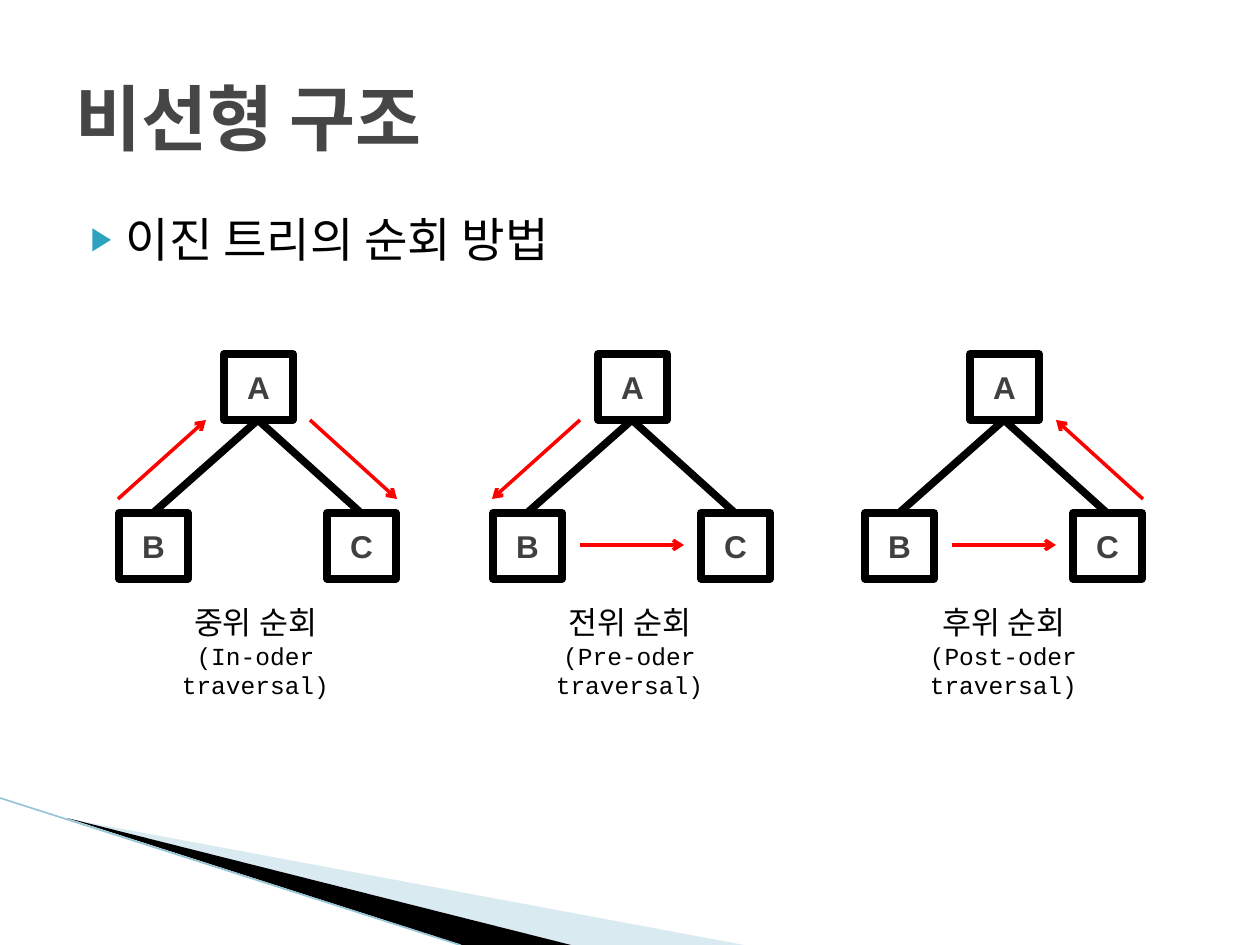
from dataclasses import dataclass

import pptx
import pptx.dml.color
import pptx.enum.shapes
import pptx.enum.text
import pptx.oxml
import pptx.oxml.ns
import pptx.util

PIXELS_PER_INCH = 126
NAMESPACE = pptx.oxml.ns.nsdecls("a")
ALIGN = pptx.enum.text.PP_ALIGN
ANCHOR = pptx.enum.text.MSO_ANCHOR
AUTO_SIZE = pptx.enum.text.MSO_AUTO_SIZE


@dataclass(frozen=True)
class Theme:
    text_font: str = "Courier New"
    node_font: str = "Arial"
    title_size: int = 41
    body_size: int = 27
    label_size: int = 18
    note_size: int = 14
    title: str = "464646"
    ink: str = "000000"
    node_text: str = "404040"
    paper: str = "FFFFFF"
    bullet: str = "2DA2BF"
    arrow: str = "FF0000"
    swoosh: str = "A0CBDC"
    edge: str = "97C5D8"
    tree_line: float = 4.33
    arrow_line: float = 2
    edge_line: float = 0.95


def px(count):
    return pptx.util.Emu(round(count * pptx.util.Inches(1) / PIXELS_PER_INCH))


def rgb(color):
    return pptx.dml.color.RGBColor.from_string(color)


def append_element(parent, tag, **attributes):
    """Append a new drawing element to parent and return it."""
    child = pptx.oxml.parse_xml(f"<a:{tag} {NAMESPACE}/>")
    for name, value in attributes.items():
        child.set(name, str(value))
    parent.append(child)
    return child


class SlideBuilder:
    def __init__(self, slide, theme):
        self.slide = slide
        self.theme = theme
        self.shapes = slide.shapes

    def start_group(self):
        self.shapes = self.slide.shapes.add_group_shape().shapes

    def place(self, shape, left, top, width, height):
        shape.left, shape.top = px(left), px(top)
        shape.width, shape.height = px(width), px(height)

    def run(self, paragraph, text, size, color, font=None, bold=False):
        run = paragraph.add_run()
        run.text = text
        run.font.name = font or self.theme.text_font
        run.font.size = pptx.util.Pt(size)
        run.font.bold = bold
        run.font.color.rgb = rgb(color)

    def title(self, text, *box):
        shape = self.slide.shapes.title
        self.place(shape, *box)
        shape.text_frame.auto_size = AUTO_SIZE.NONE
        shape.text_frame.vertical_anchor = ANCHOR.MIDDLE
        paragraph = shape.text_frame.paragraphs[0]
        paragraph.alignment = ALIGN.LEFT
        self.run(paragraph, text, self.theme.title_size, self.theme.title, bold=True)

    def bullet(self, text, *box):
        shape = self.slide.placeholders[1]
        self.place(shape, *box)
        shape.text_frame.auto_size = AUTO_SIZE.NONE
        paragraph = shape.text_frame.paragraphs[0]
        paragraph.space_before = pptx.util.Pt(0)
        properties = paragraph._p.get_or_add_pPr()
        properties.set("marL", str(px(50)))
        properties.set("indent", str(px(-35)))
        bullet_color = append_element(properties, "buClr")
        append_element(bullet_color, "srgbClr", val=self.theme.bullet)
        append_element(properties, "buSzPct", val=68000)
        append_element(properties, "buChar", char="▶")
        self.run(paragraph, text, self.theme.body_size, self.theme.ink)

    def polygon(self, points, color, opacity=100):
        start, *others = [(px(x), px(y)) for x, y in points]
        builder = self.shapes.build_freeform(*start)
        builder.add_line_segments(others, close=True)
        shape = builder.convert_to_shape()
        shape.shadow.inherit = False
        shape.line.fill.background()
        shape.fill.solid()
        shape.fill.fore_color.rgb = rgb(color)
        if opacity < 100:
            fill_color = shape._element.spPr.find(".//" + pptx.oxml.ns.qn("a:srgbClr"))
            append_element(fill_color, "alpha", val=opacity * 1000)

    def line(self, start, end, color, width, arrow=False):
        connector = self.shapes.add_connector(
            pptx.enum.shapes.MSO_CONNECTOR.STRAIGHT,
            *(px(value) for value in (*start, *end)),
        )
        connector.line.color.rgb = rgb(color)
        connector.line.width = pptx.util.Pt(width)
        if arrow:
            append_element(connector.line._get_or_add_ln(), "tailEnd", type="arrow")
        append_element(connector._element.spPr, "effectLst")

    def node(self, letter, *box):
        shape = self.shapes.add_shape(
            pptx.enum.shapes.MSO_SHAPE.RECTANGLE, *(px(value) for value in box)
        )
        shape.shadow.inherit = False
        shape.fill.solid()
        shape.fill.fore_color.rgb = rgb(self.theme.paper)
        shape.line.color.rgb = rgb(self.theme.ink)
        shape.line.width = pptx.util.Pt(self.theme.tree_line)
        append_element(shape.line._get_or_add_ln(), "round")
        shape.text_frame.vertical_anchor = ANCHOR.MIDDLE
        paragraph = shape.text_frame.paragraphs[0]
        paragraph.alignment = ALIGN.CENTER
        self.run(paragraph, letter, self.theme.label_size, self.theme.node_text,
                 self.theme.node_font, bold=True)

    def caption(self, name, english, *box):
        shape = self.shapes.add_textbox(*(px(value) for value in box))
        frame = shape.text_frame
        frame.word_wrap = True
        frame.auto_size = AUTO_SIZE.SHAPE_TO_FIT_TEXT
        lines = ((frame.paragraphs[0], name, self.theme.label_size),
                 (frame.add_paragraph(), english, self.theme.note_size))
        for paragraph, text, size in lines:
            paragraph.alignment = ALIGN.CENTER
            self.run(paragraph, text, size, self.theme.ink)

    def tree(self, center, arrows):
        """Draw root A with children B and C, and arrows given relative to the center."""
        theme = self.theme
        width, height, root_top, child_top = 69, 66, 354, 513
        children = {"B": center - 105, "C": center + 103}
        for x in children.values():
            self.line((center, root_top + height), (x, child_top), theme.ink, theme.tree_line)
        self.node("A", center - width // 2, root_top, width, height)
        for letter, x in children.items():
            self.node(letter, x - width // 2, child_top, width, height)
        for (start_x, start_y), (end_x, end_y) in arrows:
            self.line((center + start_x, start_y), (center + end_x, end_y),
                      theme.arrow, theme.arrow_line, arrow=True)


def main():
    theme = Theme()
    presentation = pptx.Presentation()
    presentation.slide_width, presentation.slide_height = px(1260), px(945)
    slide = presentation.slides.add_slide(presentation.slide_layouts[1])
    builder = SlideBuilder(slide, theme)

    builder.polygon([(69, 819), (744, 945), (570, 945)], theme.swoosh, opacity=40)
    builder.polygon([(67, 818), (571, 945), (462, 945)], theme.ink)
    builder.line((0, 798), (460, 945), theme.edge, theme.edge_line)
    builder.title("비선형 구조", 63, 38, 1134, 157)
    builder.bullet("이진 트리의 순회 방법", 63, 204, 1134, 624)

    left_top, left_bottom = (-52, 420), (-140, 499)
    right_top, right_bottom = (52, 420), (139, 499)
    across = ((-52, 545), (52, 545))
    traversals = [
        (258, "중위 순회", "(In-oder traversal)",
         [(left_bottom, left_top), (right_top, right_bottom)]),
        (632, "전위 순회", "(Pre-oder traversal)", [(left_top, left_bottom), across]),
        (1004, "후위 순회", "(Post-oder traversal)", [across, (right_bottom, right_top)]),
    ]
    for index, (center, name, english, arrows) in enumerate(traversals):
        builder.start_group()
        builder.tree(center, arrows)
        builder.caption(name, english, 108 + 374 * index, 597, 295, 81)

    presentation.save("out.pptx")


if __name__ == "__main__":
    main()
